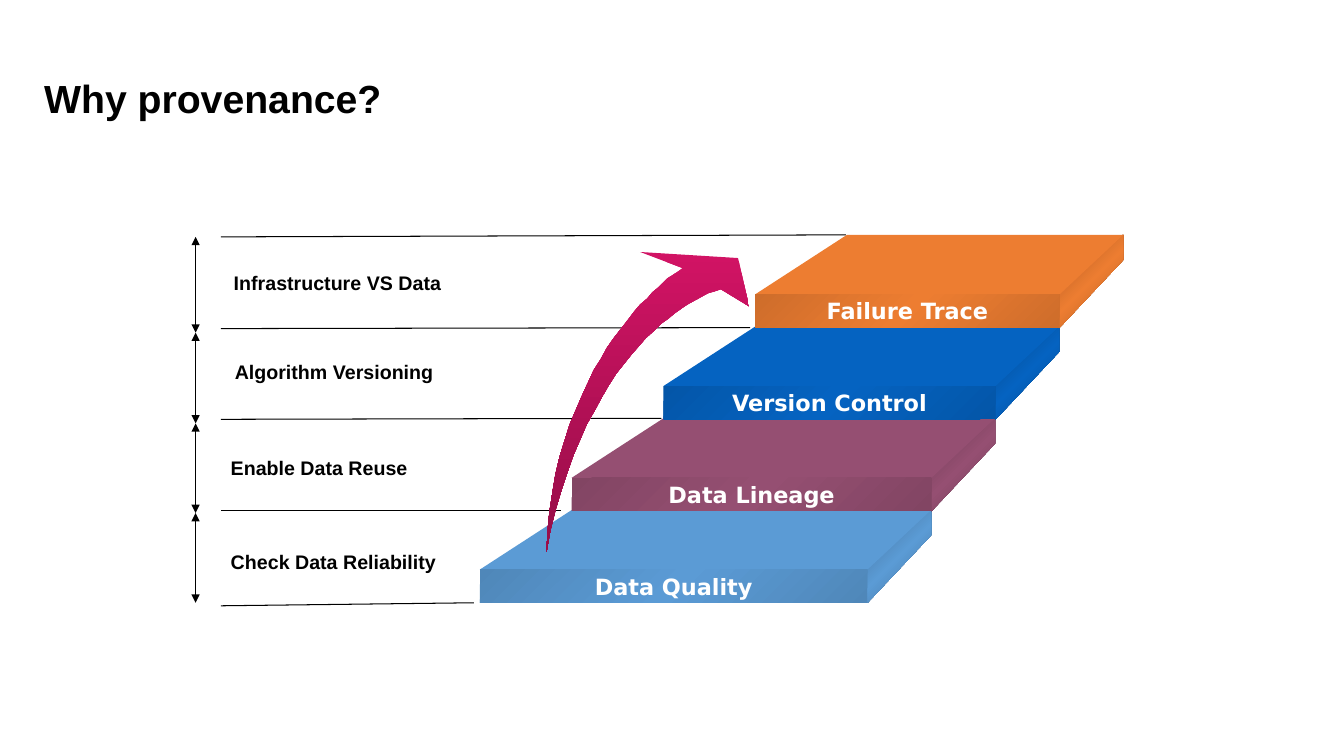
"""Build the "Why provenance?" slide: four rising steps with labels and guide lines."""
from dataclasses import dataclass

from lxml import etree
from pptx import Presentation
from pptx.dml.color import RGBColor
from pptx.enum.shapes import MSO_CONNECTOR, MSO_SHAPE
from pptx.enum.text import MSO_ANCHOR, MSO_AUTO_SIZE, PP_ALIGN
from pptx.oxml.ns import qn
from pptx.util import Inches, Pt

STRAIGHT = MSO_CONNECTOR.STRAIGHT
RECTANGLE = MSO_SHAPE.RECTANGLE
MIDDLE = MSO_ANCHOR.MIDDLE
GROW = MSO_AUTO_SIZE.SHAPE_TO_FIT_TEXT
CENTER = PP_ALIGN.CENTER

BLACK = RGBColor(0x00, 0x00, 0x00)
WHITE = RGBColor(0xFF, 0xFF, 0xFF)
ORANGE = RGBColor(0xED, 0x7D, 0x31)
ORANGE_FRONT = RGBColor(0xCE, 0x6D, 0x2B)
ORANGE_SIDE = RGBColor(0xAA, 0x59, 0x23)
BLUE = RGBColor(0x05, 0x63, 0xC1)
BLUE_FRONT = RGBColor(0x04, 0x56, 0xA8)
BLUE_SIDE = RGBColor(0x04, 0x47, 0x8A)
PLUM = RGBColor(0x95, 0x4F, 0x72)
PLUM_FRONT = RGBColor(0x82, 0x45, 0x63)
PLUM_SIDE = RGBColor(0x6B, 0x39, 0x52)
SKY = RGBColor(0x5B, 0x9B, 0xD5)
SKY_FRONT = RGBColor(0x4F, 0x87, 0xB9)
SKY_SIDE = RGBColor(0x41, 0x6F, 0x98)
MAGENTA = RGBColor(0xD1, 0x13, 0x64)
MAGENTA_DARK = RGBColor(0x96, 0x0E, 0x48)

Point = tuple[float, float]


@dataclass(frozen=True)
class Step:
    name: str
    color: RGBColor
    front_edge: RGBColor
    side_edge: RGBColor


@dataclass(frozen=True)
class Label:
    text: str
    left: float
    top: float
    width: float
    height: float = 0.34
    size: int = 14
    wrap: bool = False


STEPS = [
    Step("Failure Trace", ORANGE, ORANGE_FRONT, ORANGE_SIDE),
    Step("Version Control", BLUE, BLUE_FRONT, BLUE_SIDE),
    Step("Data Lineage", PLUM, PLUM_FRONT, PLUM_SIDE),
    Step("Data Quality", SKY, SKY_FRONT, SKY_SIDE),
]
STEP_RISE, LEFT_SHIFT, RIGHT_SHIFT = 0.91, 0.91, 0.635
DEPTH, FRONT_HEIGHT, BACK_HEIGHT = 0.59, 0.33, 0.25

LABELS = [
    Label("Why provenance?", 0.34, 0.69, 4.04, 0.57, 28, True),
    Label("Infrastructure VS Data", 2.22, 2.64, 2.27),
    Label("Algorithm Versioning", 2.23, 3.52, 2.18),
    Label("Enable Data Reuse", 2.19, 4.47, 1.96),
    Label("Check Data Reliability", 2.19, 5.41, 2.25),
]

GUIDE_LEFT, SPAN_X = 2.19, 1.94
GUIDES = [
    ((4.7, 5.98), 6.01),
    ((5.56, 5.06), 5.06),
    ((6.56, 4.15), 4.16),
    ((7.44, 3.25), 3.26),
    ((8.39, 2.33), 2.35),
]
SPAN_MARKS = [2.35, 3.3, 4.2, 5.09, 5.98]

RISING_ARROW = [
    (5.42, 5.48), (5.43, 5.27), (5.45, 5.07), (5.48, 4.88), (5.51, 4.7),
    (5.55, 4.53), (5.6, 4.37), (5.65, 4.21), (5.71, 4.07), (5.77, 3.93),
    (5.83, 3.8), (5.89, 3.67), (5.96, 3.56), (6.02, 3.45), (6.09, 3.35),
    (6.16, 3.26), (6.23, 3.17), (6.29, 3.09), (6.35, 3.02), (6.42, 2.96),
    (6.47, 2.9), (6.53, 2.85), (6.58, 2.8), (6.62, 2.76), (6.67, 2.73),
    (6.73, 2.69), (6.77, 2.66), (6.35, 2.5), (7.32, 2.56), (7.43, 3.04),
    (7.15, 2.87), (7.09, 2.89), (7.02, 2.91), (6.93, 2.96), (6.82, 3.02),
    (6.76, 3.06), (6.69, 3.11), (6.63, 3.16), (6.56, 3.21), (6.49, 3.28),
    (6.41, 3.35), (6.34, 3.43), (6.27, 3.51), (6.19, 3.61), (6.11, 3.71),
    (6.04, 3.82), (5.97, 3.94), (5.9, 4.07), (5.82, 4.21), (5.76, 4.35),
    (5.69, 4.51), (5.63, 4.68), (5.57, 4.86), (5.51, 5.06), (5.46, 5.26),
]


def paint(shape, colors: list[RGBColor], clockwise: int = 45) -> None:
    shape.shadow.inherit = False
    shape.line.fill.background()
    if len(colors) == 1:
        shape.fill.solid()
        shape.fill.fore_color.rgb = colors[0]
        return
    shape.fill.gradient()
    shape.fill.gradient_angle = 360 - clockwise
    stops = shape._element.spPr.find(".//" + qn("a:gsLst"))
    for stop in list(stops):
        stops.remove(stop)
    for index, color in enumerate(colors):
        position = 100000 * index // (len(colors) - 1)
        stop = etree.SubElement(stops, qn("a:gs"), pos=str(position))
        etree.SubElement(stop, qn("a:srgbClr"), val=str(color))


def add_outline(slide, points: list[Point], colors: list[RGBColor], clockwise: int = 45) -> None:
    corners = [(Inches(x), Inches(y)) for x, y in points]
    builder = slide.shapes.build_freeform(*corners[0])
    builder.add_line_segments(corners[1:], close=True)
    paint(builder.convert_to_shape(), colors, clockwise)


def write_text(frame, text: str, font_name: str, size: int, color: RGBColor) -> None:
    frame.text = text
    font = frame.paragraphs[0].runs[0].font
    font.name, font.size, font.bold = font_name, Pt(size), True
    font.color.rgb = color


def add_label(slide, label: Label) -> None:
    box = slide.shapes.add_textbox(
        Inches(label.left), Inches(label.top), Inches(label.width), Inches(label.height))
    box.text_frame.word_wrap = label.wrap
    box.text_frame.auto_size = GROW
    write_text(box.text_frame, label.text, "Arial", label.size, BLACK)


def add_line(slide, start: Point, end: Point, arrows: bool = False) -> None:
    line = slide.shapes.add_connector(STRAIGHT, *(Inches(v) for v in start + end))
    line.line.color.rgb = BLACK
    line.line.width = Pt(0.75)
    properties = line._element.spPr
    if arrows:
        for tag in ("a:headEnd", "a:tailEnd"):
            etree.SubElement(properties.find(qn("a:ln")), qn(tag), type="triangle")
    etree.SubElement(properties, qn("a:effectLst"))


def add_step(slide, step: Step, level: int) -> None:
    back_top = 2.33 + STEP_RISE * level
    front_top = back_top + DEPTH
    front_left = 7.49 - LEFT_SHIFT * level
    back_left = 8.4 - LEFT_SHIFT * level
    front_right = 10.51 - RIGHT_SHIFT * level
    back_right = 11.14 - RIGHT_SHIFT * level

    add_outline(slide, [
        (back_right, back_top + BACK_HEIGHT), (front_right, front_top + FRONT_HEIGHT),
        (front_right, front_top), (back_right, back_top),
    ], [step.side_edge, step.color, step.side_edge])
    add_outline(slide, [
        (front_right, front_top), (front_left, front_top),
        (back_left, back_top), (back_right, back_top),
    ], [step.color])

    front = slide.shapes.add_shape(
        RECTANGLE, Inches(front_left), Inches(front_top),
        Inches(front_right - front_left), Inches(FRONT_HEIGHT))
    paint(front, [step.front_edge, step.color, step.front_edge])
    front.text_frame.word_wrap = False
    front.text_frame.vertical_anchor = MIDDLE
    write_text(front.text_frame, step.name, "DejaVu Sans", 16, WHITE)
    front.text_frame.paragraphs[0].alignment = CENTER


def main() -> None:
    deck = Presentation()
    deck.slide_width, deck.slide_height = Inches(13.33), Inches(7.5)
    slide = deck.slides.add_slide(deck.slide_layouts[6])
    for step_end, left_y in GUIDES:
        add_line(slide, step_end, (GUIDE_LEFT, left_y))
    for top, bottom in zip(SPAN_MARKS, SPAN_MARKS[1:]):
        add_line(slide, (SPAN_X, top), (SPAN_X, bottom), arrows=True)
    for label in LABELS:
        add_label(slide, label)
    for level, step in reversed(list(enumerate(STEPS))):
        add_step(slide, step, level)
    add_outline(slide, RISING_ARROW, [MAGENTA, MAGENTA_DARK], 90)
    deck.save("out.pptx")


if __name__ == "__main__":
    main()
